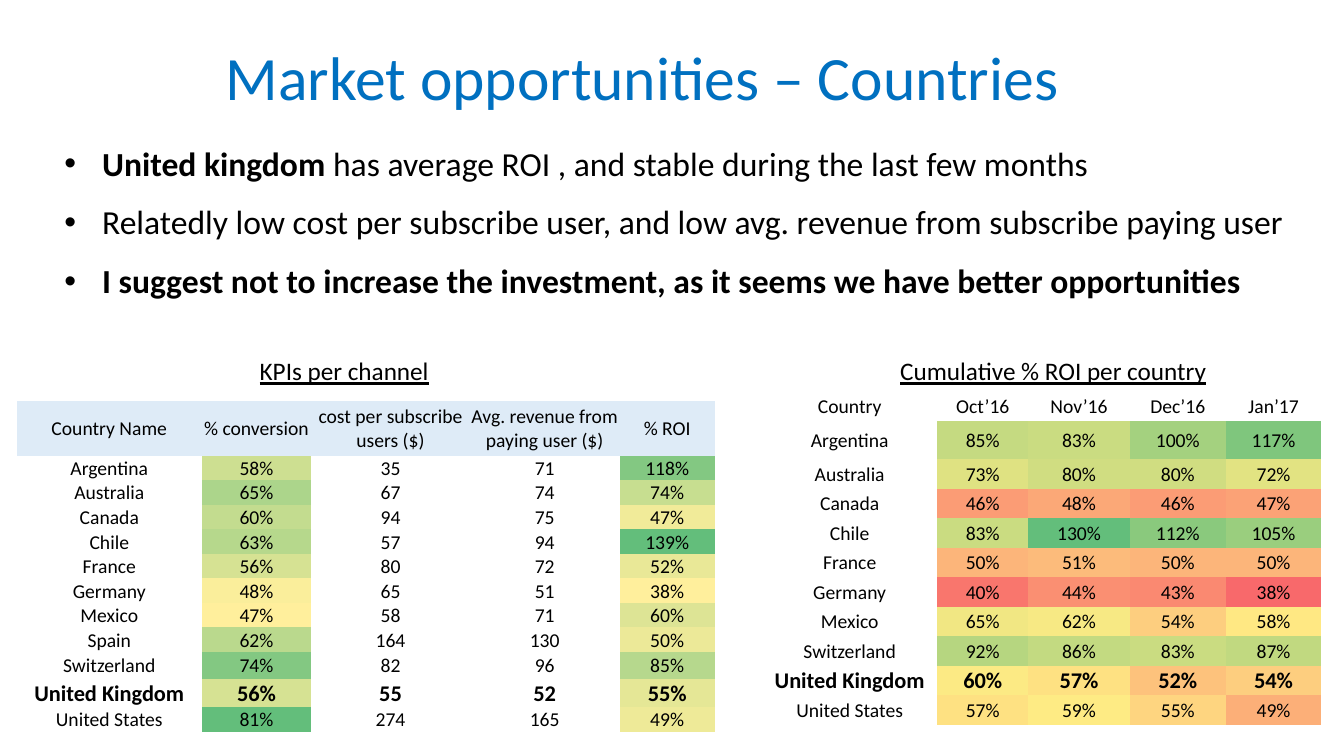
from lxml import etree
from pptx import Presentation
from pptx.dml.color import RGBColor
from pptx.enum.text import MSO_ANCHOR, PP_ALIGN
from pptx.oxml.ns import qn
from pptx.util import Pt

CENTER, LEFT = PP_ALIGN.CENTER, PP_ALIGN.LEFT
TOP, MIDDLE, BOTTOM = MSO_ANCHOR.TOP, MSO_ANCHOR.MIDDLE, MSO_ANCHOR.BOTTOM

# Content
TITLE = "Market opportunities – Countries"
BULLETS = [
    [("United kingdom ", True),
     ("has average ROI , and stable during the last few months", False)],
    [("Relatedly low cost per subscribe user, and low avg. revenue "
      "from subscribe paying user", False)],
    [("I suggest not to increase the investment, "
      "as it seems we have better opportunities", True)],
]
FOCUS = "United Kingdom"

KPI_HEAD = ["Country Name", "% conversion", "cost per subscribe users ($)",
            "Avg. revenue from paying user ($)", "% ROI"]
KPI_ROWS = [
    ("Argentina", 58, 35, 71, 118),
    ("Australia", 65, 67, 74, 74),
    ("Canada", 60, 94, 75, 47),
    ("Chile", 63, 57, 94, 139),
    ("France", 56, 80, 72, 52),
    ("Germany", 48, 65, 51, 38),
    ("Mexico", 47, 58, 71, 60),
    ("Spain", 62, 164, 130, 50),
    ("Switzerland", 74, 82, 96, 85),
    (FOCUS, 56, 55, 52, 55),
    ("United States", 81, 274, 165, 49),
]
ROI_HEAD = ["Country", "Oct’16", "Nov’16", "Dec’16", "Jan’17"]
ROI_ROWS = [
    ("Argentina", 85, 83, 100, 117),
    ("Australia", 73, 80, 80, 72),
    ("Canada", 46, 48, 46, 47),
    ("Chile", 83, 130, 112, 105),
    ("France", 50, 51, 50, 50),
    ("Germany", 40, 44, 43, 38),
    ("Mexico", 65, 62, 54, 58),
    ("Switzerland", 92, 86, 83, 87),
    (FOCUS, 60, 57, 52, 54),
    ("United States", 57, 59, 55, 49),
]

THEME = {
    "font": "Calibri", "title": "0070C0", "text": "000000", "head": "DEEBF7",
    "low": "F8696B", "mid": "FFEB84", "pale": "FFEF9C", "high": "63BE7B",
    "title_pt": 44, "bullet_pt": 24, "label_pt": 18, "cell_pt": 14,
    "focus_pt": 16,
}
# Colour scales: (value, colour) stops for each shaded column
CONV_SCALE = [(47, THEME["pale"]), (81, THEME["high"])]
GAIN_SCALE = [(38, THEME["pale"]), (139, THEME["high"])]
ROI_SCALE = [(38, THEME["low"]), (58.5, THEME["mid"]), (130, THEME["high"])]
NO_GRID = "{2D5ABB26-0587-4C30-8999-92F81FD0307C}"


def shade(value, scale):
    """Blend the two stops that enclose the value."""
    for (lo, start), (hi, end) in zip(scale, scale[1:]):
        if value <= hi:
            part = (value - lo) / (hi - lo)
            pairs = zip(RGBColor.from_string(start), RGBColor.from_string(end))
            return RGBColor(*(round(a + (b - a) * part) for a, b in pairs))


def style(para, size, color=THEME["text"], align=CENTER):
    para.alignment = align
    para.font.name = THEME["font"]
    para.font.size = Pt(size)
    para.font.color.rgb = RGBColor.from_string(color)


def add_box(slide, left, top, width, height, anchor=TOP):
    box = slide.shapes.add_textbox(Pt(left), Pt(top), Pt(width), Pt(height))
    frame = box.text_frame
    frame.word_wrap = True
    frame.vertical_anchor = anchor
    return frame


def add_label(slide, text, left, width):
    para = add_box(slide, left, 250.6, width, 28.8).paragraphs[0]
    para.text = text
    style(para, THEME["label_pt"])
    para.font.underline = True


def add_bullets(slide):
    frame = add_box(slide, 38.9, 101.5, 892.8, 136)
    for i, runs in enumerate(BULLETS):
        para = frame.add_paragraph() if i else frame.paragraphs[0]
        style(para, THEME["bullet_pt"], align=LEFT)
        para.line_spacing = 0.9
        para.space_before = para.space_after = Pt(8)
        props = para._p.get_or_add_pPr()
        props.set("marL", str(Pt(27)))
        props.set("indent", str(-Pt(27)))
        mark = etree.Element(qn("a:buFont"), typeface="Arial")
        dot = etree.Element(qn("a:buChar"), char="•")
        props.find(qn("a:defRPr")).addprevious(mark)
        mark.addnext(dot)
        for text, bold in runs:
            run = para.add_run()
            run.text = text
            run.font.bold = bold


def add_grid(slide, left, top, widths, heights, head, rows, scales, fill=None):
    """Draw a table; scales maps a column to its colour scale or to None."""
    shape = slide.shapes.add_table(len(heights), len(widths), Pt(left), Pt(top),
                                   Pt(sum(widths)), Pt(sum(heights)))
    table = shape.table
    table.first_row = table.horz_banding = False
    table._tbl.tblPr.find(qn("a:tableStyleId")).text = NO_GRID
    for col, width in zip(table.columns, widths):
        col.width = Pt(width)
    for row, height in zip(table.rows, heights):
        row.height = Pt(height)
    for r, line in enumerate([head] + rows):
        focus = line[0] == FOCUS
        for c, value in enumerate(line):
            cell = table.cell(r, c)
            scale = scales.get(c) if r else None
            cell.text = f"{value}%" if scale else str(value)
            cell.vertical_anchor = MIDDLE
            cell.margin_left = cell.margin_right = cell.margin_top = Pt(0.7)
            cell.margin_bottom = 0
            para = cell.text_frame.paragraphs[0]
            style(para, THEME["focus_pt" if focus else "cell_pt"])
            para.font.bold = focus
            if scale:
                cell.fill.solid()
                cell.fill.fore_color.rgb = shade(value, scale)
            elif fill and r == 0:
                cell.fill.solid()
                cell.fill.fore_color.rgb = RGBColor.from_string(fill)
            else:
                cell.fill.background()


def main():
    deck = Presentation()
    deck.slide_width, deck.slide_height = Pt(960), Pt(540)
    slide = deck.slides.add_slide(deck.slide_layouts[6])

    # Title and points
    para = add_box(slide, 38.9, 19.4, 840.2, 65.5, BOTTOM).paragraphs[0]
    para.text = TITLE
    style(para, THEME["title_pt"], THEME["title"])
    para.line_spacing = 0.9
    add_bullets(slide)

    # Table labels
    add_label(slide, "KPIs per channel", 32.4, 427)
    add_label(slide, "Cumulative % ROI per country", 545, 414.7)

    # Tables
    add_grid(slide, 544.3, 279.6, [125.3, 64.8, 72.7, 68.4, 68.4],
             [20.9, 27.4] + [21.1] * 9, ROI_HEAD, ROI_ROWS,
             {c: ROI_SCALE for c in range(1, 5)})
    add_grid(slide, 12.2, 286.6, [131.8, 78.5, 113, 107.3, 67.7],
             [39] + [16] * 8 + [19.4, 18.7, 16], KPI_HEAD, KPI_ROWS,
             {1: CONV_SCALE, 4: GAIN_SCALE}, THEME["head"])

    deck.save("out.pptx")


if __name__ == "__main__":
    main()
